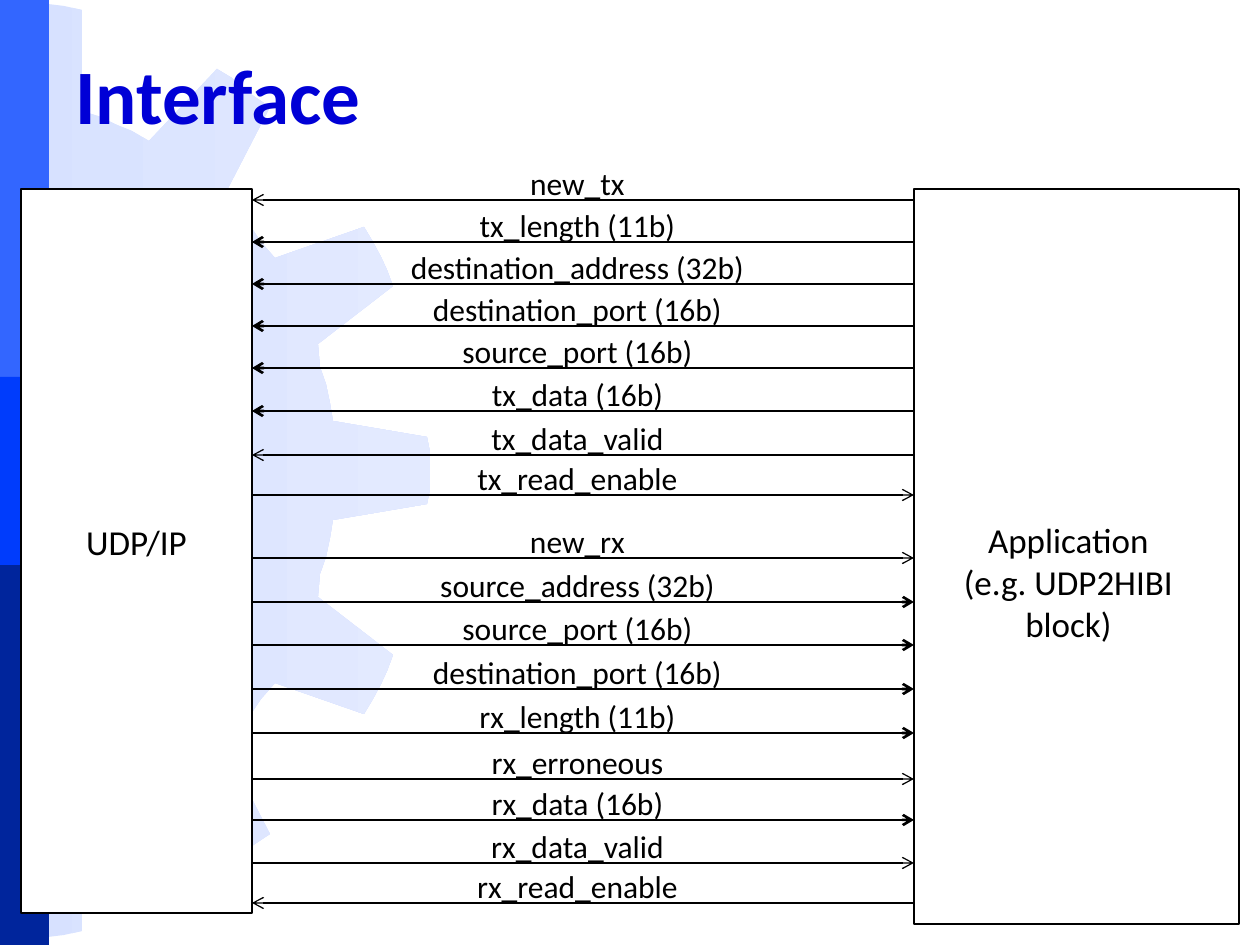
from lxml.etree import SubElement
from pptx import Presentation
from pptx.dml.color import RGBColor
from pptx.enum.shapes import MSO_CONNECTOR, MSO_SHAPE
from pptx.enum.text import MSO_ANCHOR, PP_ALIGN
from pptx.oxml.ns import qn
from pptx.util import Pt

PX = 914400 // 126
WHITE = RGBColor(0xFF, 0xFF, 0xFF)
BLACK = RGBColor(0, 0, 0)
TITLE_BLUE = RGBColor(0, 0, 0xD6)
GEAR_LEFT = RGBColor(0xD7, 0xE1, 0xFF)
GEAR_RIGHT = RGBColor(0xE3, 0xEA, 0xFF)
FONT = "Calibri"

# Side bands: top, height, colour
BAND_WIDTH = 49
BANDS = [
    (0, 384, RGBColor(0x33, 0x66, 0xFF)),
    (562, 383, RGBColor(0x00, 0x25, 0x9C)),
    (377, 188, RGBColor(0x00, 0x3C, 0xFC)),
]

# Upper half of the gear outline; the lower half mirrors it
GEAR_HEIGHT = 941
GEAR_TOP_HALF = [
    (0, 377), (200, 377), (194, 360), (186, 348), (180, 333), (170, 319),
    (161, 305), (151, 295), (139, 285), (130, 272), (117, 263), (103, 253),
    (91, 247), (76, 241), (63, 234), (48, 228), (33, 227), (16, 222),
    (16, 0), (34, 1), (48, 4), (64, 6), (82, 10), (82, 111), (101, 117),
    (117, 125), (132, 131), (149, 141), (217, 69), (232, 78), (242, 88),
    (255, 97), (270, 107), (223, 198), (239, 213), (251, 227), (261, 242),
    (275, 258), (364, 227), (373, 242), (381, 257), (387, 270), (393, 286),
    (318, 344), (320, 367), (326, 384), (330, 403), (333, 421), (427, 437),
    (430, 452), (430, 470),
]

# Blocks: box, label area, label lines
BLOCKS = [
    ((914, 189, 325, 735), (937, 512, 263, 140),
     ["Application", "(e.g. UDP2HIBI block)"]),
    ((21, 189, 231, 724), (21, 514, 231, 55), ["UDP/IP"]),
]
UDP_EDGE, APP_EDGE = 252, 914

# Signals: name, arrow height, direction; a bit width marks a bus
TO_UDP, TO_APP = (APP_EDGE, UDP_EDGE), (UDP_EDGE, APP_EDGE)
SIGNALS = [
    ("new_tx", 200, TO_UDP),
    ("tx_length (11b)", 242, TO_UDP),
    ("destination_address (32b)", 284, TO_UDP),
    ("destination_port (16b)", 326, TO_UDP),
    ("source_port (16b)", 368, TO_UDP),
    ("tx_data (16b)", 411, TO_UDP),
    ("tx_data_valid", 455, TO_UDP),
    ("tx_read_enable", 495, TO_APP),
    ("new_rx", 558, TO_APP),
    ("source_address (32b)", 602, TO_APP),
    ("source_port (16b)", 645, TO_APP),
    ("destination_port (16b)", 689, TO_APP),
    ("rx_length (11b)", 733, TO_APP),
    ("rx_erroneous", 779, TO_APP),
    ("rx_data (16b)", 820, TO_APP),
    ("rx_data_valid", 863, TO_APP),
    ("rx_read_enable", 903, TO_UDP),
]
LABEL_LEFT, LABEL_WIDTH, LABEL_HEIGHT, LABEL_RISE = 336, 483, 50, 42

prs = Presentation()
prs.slide_width, prs.slide_height = 1260 * PX, 945 * PX
slide = prs.slides.add_slide(prs.slide_layouts[6])
shapes = slide.shapes


def emu(*lengths):
    return [length * PX for length in lengths]


def add_box(area, fill, outline=None):
    box = shapes.add_shape(MSO_SHAPE.RECTANGLE, *emu(*area))
    box.shadow.inherit = False
    box.fill.solid()
    box.fill.fore_color.rgb = fill
    if outline is None:
        box.line.fill.background()
    else:
        box.line.color.rgb = outline
        box.line.width = Pt(0.75)


def add_text(area, lines, size, color=BLACK, align=PP_ALIGN.CENTER):
    frame = shapes.add_textbox(*emu(*area)).text_frame
    frame.word_wrap = True
    frame.text = "\n".join(lines)
    for paragraph in frame.paragraphs:
        paragraph.alignment = align
        paragraph.font.name = FONT
        paragraph.font.size = Pt(size)
        paragraph.font.color.rgb = color
    return frame


def add_arrow(start, end, y, weight):
    arrow = shapes.add_connector(MSO_CONNECTOR.STRAIGHT, *emu(start, y, end, y))
    arrow.line.color.rgb = BLACK
    arrow.line.width = Pt(weight)
    SubElement(arrow.line._get_or_add_ln(), qn("a:tailEnd"), type="arrow")
    SubElement(arrow._element.spPr, qn("a:effectLst"))


# Background gear
gear_outline = GEAR_TOP_HALF + [
    (x, GEAR_HEIGHT - y) for x, y in reversed(GEAR_TOP_HALF)]
builder = shapes.build_freeform(*gear_outline[0], scale=PX)
builder.add_line_segments(gear_outline[1:], close=True)
gear = builder.convert_to_shape()
gear.shadow.inherit = False
gear.line.fill.background()
gear.fill.gradient()
gear.fill.gradient_angle = 0
for stop, color in zip(gear.fill.gradient_stops, (GEAR_LEFT, GEAR_RIGHT)):
    stop.color.rgb = color

# Side bands
for top, height, color in BANDS:
    add_box((0, top, BAND_WIDTH, height), color)

# Title
title = add_text((63, -10, 1134, 157), ["Interface"], 44, TITLE_BLUE, PP_ALIGN.LEFT)
title.vertical_anchor = MSO_ANCHOR.BOTTOM
title.paragraphs[0].font.bold = True
title.paragraphs[0].line_spacing = 0.9

# Blocks
for box_area, label_area, lines in BLOCKS:
    add_box(box_area, WHITE, BLACK)
    add_text(label_area, lines, 20)

# Signals
for name, y, (start, end) in SIGNALS:
    add_text((LABEL_LEFT, y - LABEL_RISE, LABEL_WIDTH, LABEL_HEIGHT), [name], 18)
    add_arrow(start, end, y, 1.5 if "(" in name else 0.75)

prs.save("out.pptx")
